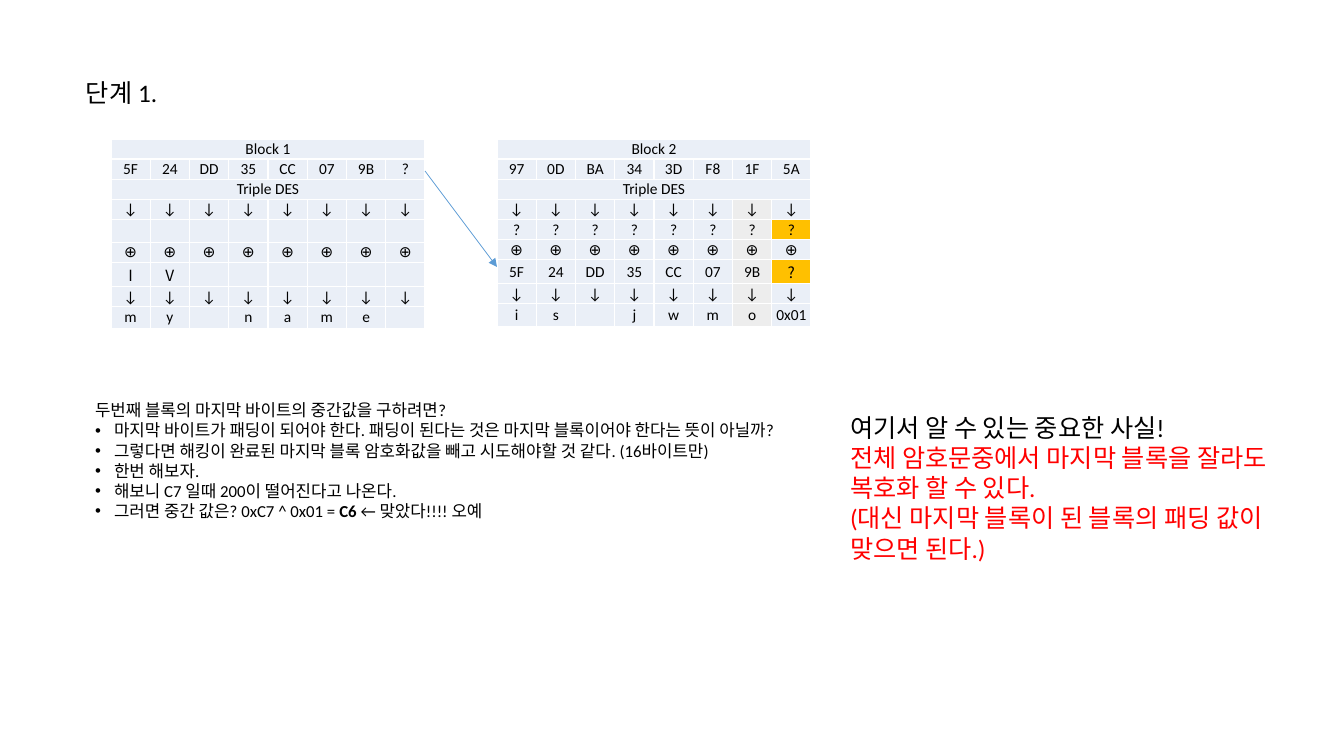
import pptx
import pptx.util
import pptx.dml.color
import pptx.enum.text
import pptx.enum.shapes
import lxml.etree

ALIGN = pptx.enum.text.PP_ALIGN
ANCHOR = pptx.enum.text.MSO_ANCHOR
DOWN, XOR = ["↓"] * 8, ["⊕"] * 8
FIRST = ["5F", "24", "DD", "35", "CC", "07", "9B", "?"]
PALE, GRAY, GOLD, BLACK, RED = "EAEFF7", "EDEDED", "FFC000", "000000", "FF0000"
LATIN, ASIAN = "Calibri", "Noto Sans CJK JP"

BLOCKS = [
    {"left": 111, "tall": {4: 23, 6: 24, 8: 22}, "fills": {},
     "asian": [(6, 0), (6, 1)],
     "rows": [["Block 1"], FIRST, ["Triple DES"], DOWN, [""] * 8, XOR,
              ["I", "V"] + [""] * 6, DOWN, ["m", "y", "", "n", "a", "m", "e", ""]]},
    {"left": 497, "tall": {6: 24, 8: 23},
     "fills": {**{(row, 6): GRAY for row in range(3, 9)}, (4, 7): GOLD, (6, 7): GOLD},
     "asian": [(6, 7)],
     "rows": [["Block 2"], ["97", "0D", "BA", "34", "3D", "F8", "1F", "5A"],
              ["Triple DES"], DOWN, ["?"] * 8, XOR, FIRST, DOWN,
              ["i", "s", "", "j", "w", "m", "o", "0x01"]]},
]
TITLE = [("단계 1.",)]
STEPS = [
    ("두번째 블록의 마지막 바이트의 중간값을 구하려면?",),
    ("마지막 바이트가 패딩이 되어야 한다. 패딩이 된다는 것은 마지막 블록이어야 한다는 뜻이 아닐까?",),
    ("그렇다면 해킹이 완료된 마지막 블록 암호화값을 빼고 시도해야할 것 같다. (16바이트만)",),
    ("한번 해보자.",),
    ("해보니 C7 일때 200이 떨어진다고 나온다.",),
    ("그러면 중간 값은? 0xC7 ^ 0x01 = ", "C6 ", "← 맞았다!!!! 오예"),
]
FACTS = [
    ("여기서 알 수 있는 중요한 사실!",),
    ("전체 암호문중에서 마지막 블록을 잘라도 복호화 할 수 있다.",),
    ("(대신 마지막 블록이 된 블록의 패딩 값이 맞으면 된다.)",),
]


def px(num):
    return round(num * 914400 / 100.8)


def color(code):
    return pptx.dml.color.RGBColor.from_string(code)


def style(item, form):
    for key, val in form.items():
        setattr(item, key, val)


def add(node, tag, **attrs):
    return lxml.etree.SubElement(node, pptx.oxml.ns.qn(tag), **attrs)


def write(para, text, size, name=LATIN, tint=BLACK, bold=False):
    run = para.add_run()
    run.text = text
    style(run.font, {"size": pptx.util.Pt(size), "name": name, "bold": bold})
    run.font.color.rgb = color(tint)


def place(shape, left, top, width, height):
    style(shape, {"left": px(left), "top": px(top), "width": px(width), "height": px(height)})


def fill_text(shape, lines, size, tints=(), bullets=False):
    frame = shape.text_frame
    style(frame, {"word_wrap": True, "vertical_anchor": ANCHOR.TOP,
                  "auto_size": pptx.enum.text.MSO_AUTO_SIZE.NONE,
                  "margin_left": px(10), "margin_right": px(10),
                  "margin_top": px(5), "margin_bottom": px(5)})
    for num, parts in enumerate(lines):
        para = frame.paragraphs[0] if num == 0 else frame.add_paragraph()
        style(para, {"alignment": ALIGN.LEFT, "space_before": pptx.util.Pt(0), "line_spacing": 1.0})
        props = para._p.get_or_add_pPr()
        if bullets:
            dent = px(19) if num else 0
            props.set("marL", str(dent))
            props.set("indent", str(-dent))
            if num:
                add(props, "a:buFont", typeface="Arial")
                add(props, "a:buChar", char="•")
            else:
                add(props, "a:buNone")
        for part, text in enumerate(parts):
            write(para, text, size, tint=tints[num] if tints else BLACK, bold=part == 1)


def add_block(slide, block):
    rows = block["rows"]
    table = slide.shapes.add_table(len(rows), 8, px(block["left"]), px(139), px(314), px(188)).table
    style(table, {"first_row": False, "horz_banding": False})
    for col in table.columns:
        col.width = px(314 / 8)
    for r, row in enumerate(rows):
        table.rows[r].height = px(block["tall"].get(r, 20))
        if len(row) == 1:
            table.cell(r, 0).merge(table.cell(r, 7))
        for c in range(8):
            cell = table.cell(r, c)
            cell.fill.solid()
            cell.fill.fore_color.rgb = color(block["fills"].get((r, c), PALE))
            style(cell, {"vertical_anchor": ANCHOR.MIDDLE, "margin_left": px(1),
                         "margin_right": px(1), "margin_top": px(1), "margin_bottom": 0})
            para = cell.text_frame.paragraphs[0]
            para.alignment = ALIGN.CENTER
            if c < len(row) and row[c]:
                write(para, row[c], 11, ASIAN if (r, c) in block["asian"] else LATIN)
            else:
                add(para._p, "a:endParaRPr", sz="1100")


deck = pptx.Presentation()
style(deck, {"slide_width": px(1344), "slide_height": px(756)})
slide = deck.slides.add_slide(deck.slide_layouts[1])
for block in BLOCKS:
    add_block(slide, block)

arrow = slide.shapes.add_connector(
    pptx.enum.shapes.MSO_CONNECTOR.STRAIGHT, px(425), px(171), px(497), px(267))
arrow.line.color.rgb = color("5B9BD5")
arrow.line.width = pptx.util.Pt(0.5)
add(arrow.line._get_or_add_ln(), "a:tailEnd", type="triangle")
add(arrow._element.spPr, "a:effectLst")

title = slide.shapes.title
place(title, 76, 72, 346, 40)
fill_text(title, TITLE, 18)
body = slide.placeholders[1]
place(body, 85, 395, 740, 173)
fill_text(body, STEPS, 12, bullets=True)
note = slide.shapes.add_textbox(px(840), px(407), px(448), px(163))
fill_text(note, FACTS, 18, tints=(BLACK, RED, RED))
deck.save("out.pptx")
